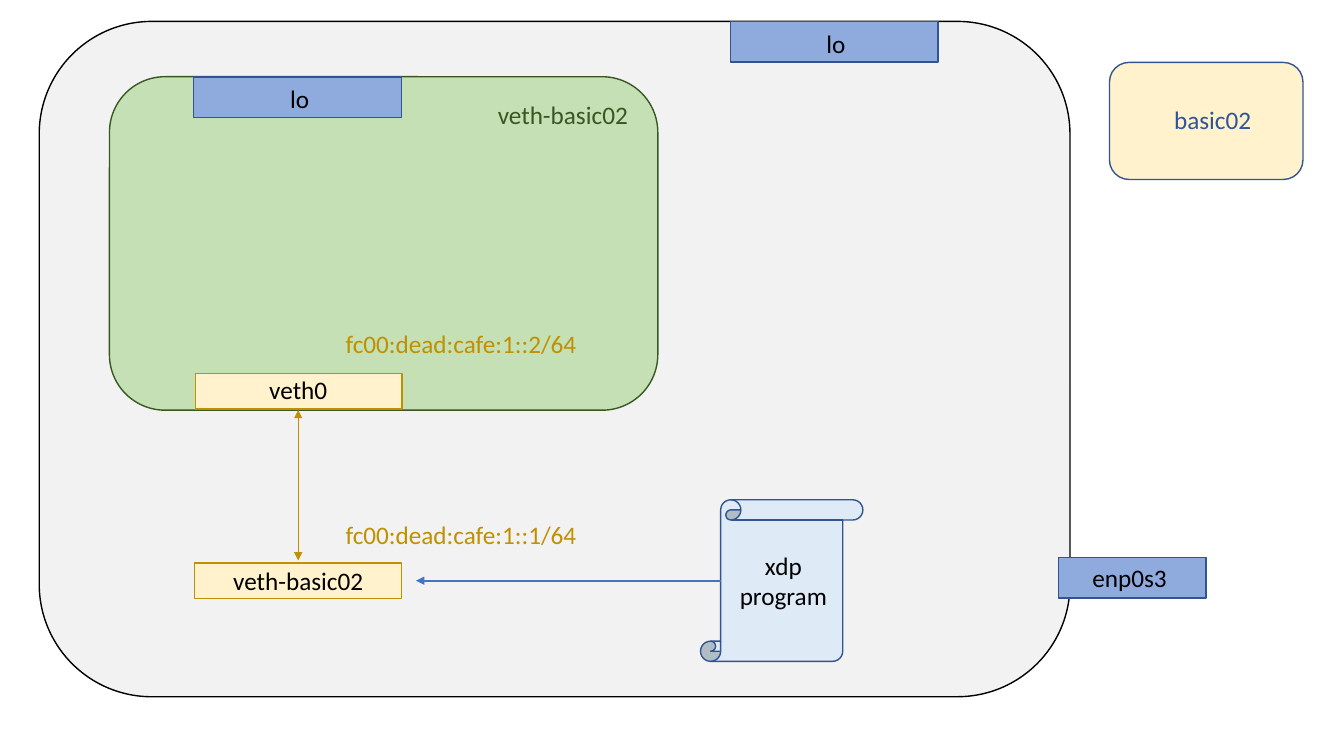
"""Draws the basic02 network: a host, a veth namespace and an xdp program."""
from lxml import etree
from pptx import Presentation
from pptx.dml.color import RGBColor
from pptx.enum.shapes import MSO_CONNECTOR, MSO_SHAPE
from pptx.enum.text import PP_ALIGN
from pptx.oxml.ns import qn
from pptx.util import Pt

RECT = MSO_SHAPE.RECTANGLE
ROUNDED = MSO_SHAPE.ROUNDED_RECTANGLE
SCROLL = MSO_SHAPE.VERTICAL_SCROLL
STRAIGHT = MSO_CONNECTOR.STRAIGHT
LEFT, CENTER = PP_ALIGN.LEFT, PP_ALIGN.CENTER
TOP_SIDE, BOTTOM_SIDE, RIGHT_SIDE = 0, 2, 3

BLACK, NAVY, GOLD, CREAM, SKY = "000000", "325491", "BF9000", "FFF2CC", "8FAADC"


def color(hex_code):
    return RGBColor.from_string(hex_code)


def style_arrow(arrow, hex_code, width, ends):
    arrow.line.color.rgb = color(hex_code)
    arrow.line.width = Pt(width)
    line = arrow.line._get_or_add_ln()
    for end in ends:
        etree.SubElement(line, qn(f"a:{end}"), type="triangle")
    etree.SubElement(arrow._element.spPr, qn("a:effectLst"))


deck = Presentation()
deck.slide_width, deck.slide_height = Pt(960), Pt(540)
page = deck.slides.add_slide(deck.slide_layouts[6])

shapes = [
    (ROUNDED, 28, 15.3, 736.3, 482.4, "F2F2F2", BLACK),
    (ROUNDED, 78.2, 54.8, 391.7, 238.2, "C5E0B4", "385723"),
    (RECT, 139.6, 267, 147.6, 25.2, CREAM, GOLD),
    (RECT, 139, 402.2, 147.6, 25.2, CREAM, GOLD),
    (RECT, 756, 398.2, 105.6, 29, SKY, NAVY),
    (RECT, 521.6, 15.4, 148.4, 29, SKY, NAVY),
    (RECT, 138.4, 55.1, 148.4, 29, SKY, NAVY),
    (ROUNDED, 792.5, 44.6, 138.2, 83.6, CREAM, NAVY),
    (SCROLL, 500.4, 357, 116, 115.4, "DEEBF7", NAVY),
]
for kind, left, top, width, height, fill, outline in shapes:
    shape = page.shapes.add_shape(kind, Pt(left), Pt(top), Pt(width), Pt(height))
    shape.shadow.inherit = False
    shape.fill.solid()
    shape.fill.fore_color.rgb = color(fill)
    shape.line.color.rgb = color(outline)
    shape.line.width = Pt(1)

labels = [
    (["veth-basic02"], 348.5, 67.7, 138.2, 51, "385723", LEFT),
    (["veth0"], 139.2, 263.8, 147.6, 29, BLACK, CENTER),
    (["veth-basic02"], 128.8, 400.3, 168.4, 29, BLACK, CENTER),
    (["lo"], 583.2, 16.6, 71.3, 29, BLACK, LEFT),
    (["enp0s3"], 773.2, 398.2, 71.3, 29, BLACK, LEFT),
    (["fc00:dead:cafe:1::2/64"], 239.8, 231.1, 217.4, 29, GOLD, LEFT),
    (["lo"], 200.2, 56.2, 71.3, 29, BLACK, LEFT),
    (["basic02"], 808.6, 70.6, 115.2, 29, "2F5597", CENTER),
    (["fc00:dead:cafe:1::1/64"], 239.8, 367.2, 217.4, 29, GOLD, LEFT),
    (["xdp", "program"], 516.4, 389.2, 86.4, 51, BLACK, CENTER),
]
boxes = []
for lines, left, top, width, height, ink, align in labels:
    box = page.shapes.add_textbox(Pt(left), Pt(top), Pt(width), Pt(height))
    boxes.append(box)
    frame = box.text_frame
    frame.word_wrap = True
    for index, text in enumerate(lines):
        para = frame.add_paragraph() if index else frame.paragraphs[0]
        para.alignment = align
        span = para.add_run()
        span.text = text
        span.font.name = "Calibri"
        span.font.size = Pt(18)
        span.font.color.rgb = color(ink)
inner_veth, outer_veth = boxes[1:3]

veth_pair = page.shapes.add_connector(STRAIGHT, Pt(213), Pt(292.8), Pt(213), Pt(400.3))
veth_pair.begin_connect(inner_veth, BOTTOM_SIDE)
veth_pair.end_connect(outer_veth, TOP_SIDE)
style_arrow(veth_pair, GOLD, 0.5, ["headEnd", "tailEnd"])

attachment = page.shapes.add_connector(STRAIGHT, Pt(514.8), Pt(414.8), Pt(297.2), Pt(414.8))
attachment.end_connect(outer_veth, RIGHT_SIDE)
style_arrow(attachment, "4472C4", 1.5, ["tailEnd"])

deck.save("out.pptx")
